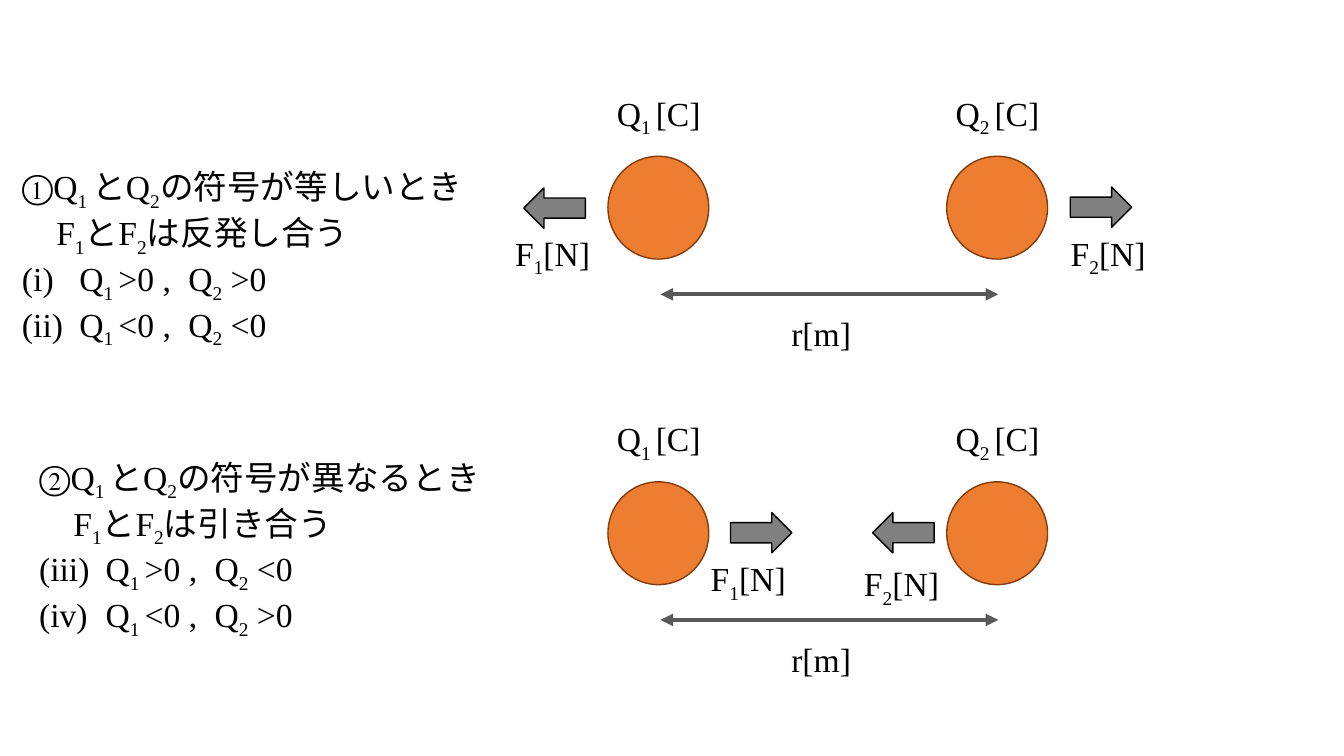
from dataclasses import dataclass

from lxml import etree
from pptx import Presentation
from pptx import util as u
from pptx.dml.color import RGBColor
from pptx.enum import shapes, text
from pptx.oxml.ns import qn

PX = 9144  # EMU in one px, at 100 px to the inch


@dataclass(frozen=True)
class Theme:
    font: str = "Times New Roman"
    size: int = 24
    thin_space_size: int = 14
    subscript: int = -25000
    ink: str = "000000"
    charge: str = "ED7D31"
    charge_edge: str = "843C0B"
    force: str = "808080"
    distance: str = "595959"


@dataclass(frozen=True)
class Force:
    index: int
    arrow_left: int
    arrow_top: int
    rotation: int
    label_left: int
    label_top: int


@dataclass(frozen=True)
class Case:
    top: int
    forces: tuple[Force, ...]
    note_left: int
    note_top: int
    tabs: tuple[int, ...]
    lines: tuple[str, ...]


THEME = Theme()
POINTS_LEFT, POINTS_RIGHT = 90, 270
FORCE_INDENT = 34
CHARGE_LEFTS = {1: 603, 2: 939}

# In markup, "_" makes the next character a subscript and "~" is a thin space.
CASES = (
    Case(87, (Force(1, 530, 176, POINTS_LEFT, 501, 226),
              Force(2, 1072, 175, POINTS_RIGHT, 1052, 226)),
         12, 160, (57, 165),
         ("①Q_1~とQ_2の符号が等しいとき", "F_1とF_2は反発し合う",
          "(i)\tQ_1~>0 ,\tQ_2 >0", "(ii)\tQ_1~<0 ,\tQ_2 <0")),
    Case(410, (Force(1, 735, 498, POINTS_RIGHT, 695, 549),
               Force(2, 876, 498, POINTS_LEFT, 847, 554)),
         29, 448, (66, 174),
         ("②Q_1~とQ_2の符号が異なるとき", "F_1とF_2は引き合う",
          "(iii)\tQ_1~>0 ,\tQ_2 <0", "(iv)\tQ_1~<0 ,\tQ_2 >0")),
)


def px(*lengths: int) -> list[u.Emu]:
    return [u.Emu(length * PX) for length in lengths]


def add_span(para, words: str, size: int = THEME.size, baseline: int = 0) -> None:
    if not words:
        return
    span = para.add_run()
    span.text = words
    formats = {"name": THEME.font, "size": u.Pt(size)}
    for name, value in formats.items():
        setattr(span.font, name, value)
    span.font.color.rgb = RGBColor.from_string(THEME.ink)
    if baseline:
        span.font._element.set("baseline", str(baseline))


def write_markup(para, markup: str) -> None:
    """Turn subscript and thin-space marks into formatted runs."""
    first, *pieces = markup.split("_")
    add_span(para, first)
    for piece in pieces:
        add_span(para, piece[0], baseline=THEME.subscript)
        rest = piece[1:]
        if rest.startswith("~"):
            add_span(para, " ", THEME.thin_space_size)
            rest = rest[1:]
        add_span(para, rest)


def add_text(page, left: int, top: int, width: int, height: int, wrap: bool = False):
    box = page.shapes.add_textbox(*px(left, top, width, height))
    formats = {"word_wrap": wrap, "auto_size": text.MSO_AUTO_SIZE.SHAPE_TO_FIT_TEXT,
               "vertical_anchor": text.MSO_ANCHOR.TOP}
    for name, value in formats.items():
        setattr(box.text_frame, name, value)
    return box.text_frame


def add_label(page, markup: str, left: int, top: int, width: int) -> None:
    write_markup(add_text(page, left, top, width, 50).paragraphs[0], markup)


def add_solid(page, kind, bounds: tuple[int, ...], fill: str, edge: str, rotation: int = 0) -> None:
    shape = page.shapes.add_shape(kind, *px(*bounds))
    shape.shadow.inherit = False
    shape.rotation = rotation
    shape.fill.solid()
    shape.fill.fore_color.rgb = RGBColor.from_string(fill)
    shape.line.color.rgb = RGBColor.from_string(edge)
    shape.line.width = u.Pt(1)


def add_distance(page, left: int, right: int, y: int) -> None:
    """Draw a double-headed arrow between the charge centres."""
    arrow = page.shapes.add_connector(shapes.MSO_CONNECTOR.STRAIGHT, *px(left, y, right, y))
    arrow.line.color.rgb = RGBColor.from_string(THEME.distance)
    arrow.line.width = u.Pt(3)
    outline = arrow.line._get_or_add_ln()
    for end in ("a:headEnd", "a:tailEnd"):
        etree.SubElement(outline, qn(end)).set("type", "triangle")
    etree.SubElement(arrow._element.spPr, qn("a:effectLst"))


def set_tabs(para, stops: tuple[int, ...]) -> None:
    tab_list = etree.SubElement(para._p.get_or_add_pPr(), qn("a:tabLst"))
    for stop in stops:
        tab = etree.SubElement(tab_list, qn("a:tab"))
        tab.set("pos", str(stop * PX))
        tab.set("algn", "l")


def add_note(page, case: Case) -> None:
    frame = add_text(page, case.note_left, case.note_top, 467, 172, wrap=True)
    for number, line in enumerate(case.lines):
        para = frame.add_paragraph() if number else frame.paragraphs[0]
        if "\t" in line:
            set_tabs(para, case.tabs)
        elif number:
            para._p.get_or_add_pPr().set("marL", str(FORCE_INDENT * PX))
        write_markup(para, line)


def add_diagram(page, case: Case) -> None:
    for index, left in CHARGE_LEFTS.items():
        add_solid(page, shapes.MSO_SHAPE.OVAL, (left, case.top + 68, 100, 102),
                  THEME.charge, THEME.charge_edge)
        add_label(page, f"Q_{index}~[C]", left - 1, case.top, 106)
    add_distance(page, 655, 990, case.top + 205)
    add_label(page, "r[m]", 775, case.top + 219, 80)
    for force in case.forces:
        add_solid(page, shapes.MSO_SHAPE.DOWN_ARROW, (force.arrow_left, force.arrow_top, 40, 61),
                  THEME.force, THEME.ink, force.rotation)
        add_label(page, f"F_{force.index}[N]", force.label_left, force.label_top, 97)


def main() -> None:
    deck = Presentation()
    deck.slide_width, deck.slide_height = px(1333, 750)
    page = deck.slides.add_slide(deck.slide_layouts[6])
    for case in CASES:
        add_diagram(page, case)
        add_note(page, case)
    deck.save("out.pptx")


if __name__ == "__main__":
    main()
